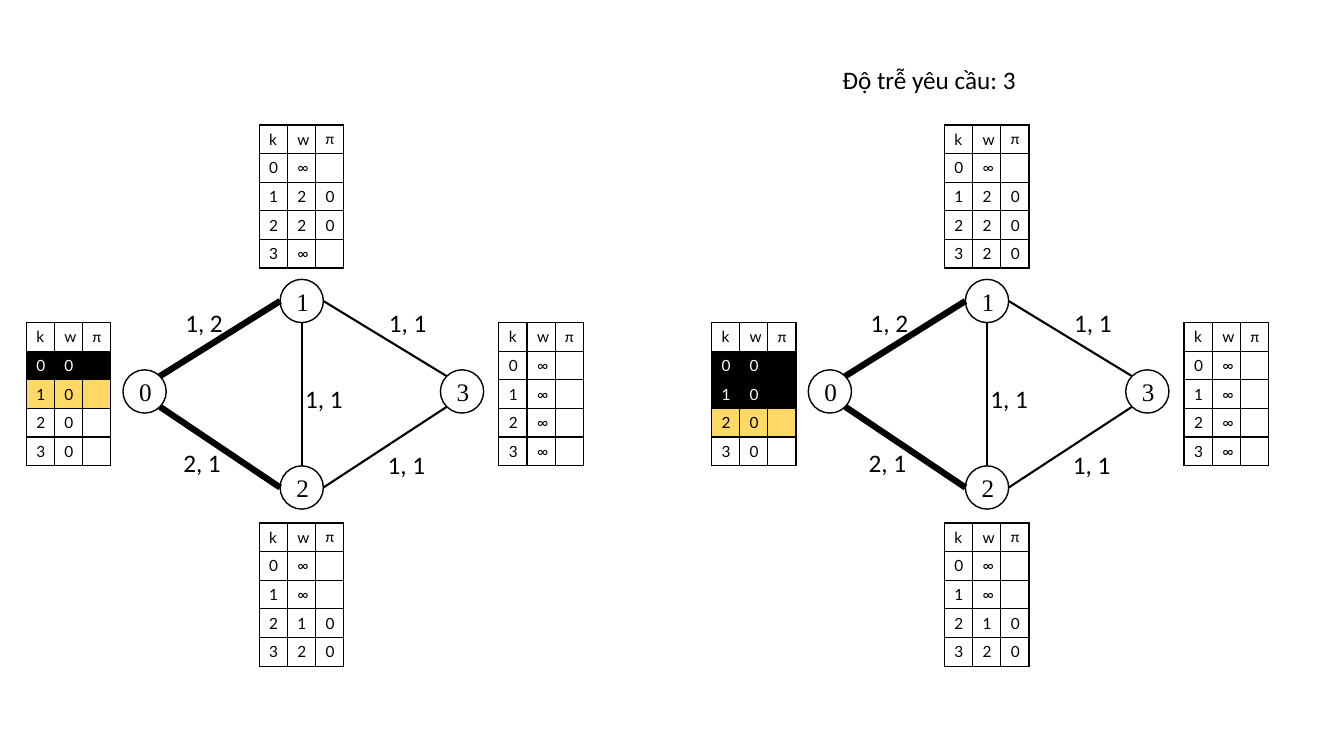
from math import cos, radians, sin

from lxml.etree import SubElement
from pptx import Presentation
from pptx.dml.color import RGBColor
from pptx.enum.shapes import MSO_CONNECTOR as Link, MSO_SHAPE as Shape
from pptx.enum.text import MSO_ANCHOR as Anchor, PP_ALIGN as Align
from pptx.oxml.ns import qn
from pptx.util import Cm, Pt

BLACK, WHITE, GOLD = "000000", "FFFFFF", "FFD966"
NODE = 1.09  # node diameter
CELL = 0.71, 0.72  # column width, row height

# Left and top of each node, within a panel
NODES = [(2.44, 6.17), (6.4, 3.89), (6.4, 8.59), (10.44, 6.17)]
# Node and angle at each end, line width, label and its place
EDGES = [
    (0, -45, 1, 180, 4.5, "1, 2", 3.76, 4.47),
    (0, 45, 2, 180, 4.5, "2, 1", 3.71, 8.0),
    (1, 0, 3, 225, 1.5, "1, 1", 8.89, 4.47),
    (2, 0, 3, 135, 1.5, "1, 1", 8.86, 8.05),
    (1, 90, 2, -90, 1.5, "1, 1", 6.78, 6.38),
]
# Left and top of the table beside each node
SPOTS = [(0, 4.98), (5.87, 0), (5.87, 10.03), (11.91, 4.98)]


def color(code):
    return RGBColor.from_string(code)


def write(frame, text, size=18, font="Calibri", ink=BLACK, align=None):
    para = frame.paragraphs[0]
    para.alignment = align
    if not text:  # an empty cell keeps the small line height
        para._p.get_or_add_endParaRPr().set("sz", str(size * 100))
        return
    run = para.add_run()
    run.text = text
    run.font.size, run.font.name, run.font.bold = Pt(size), font, False
    run.font.color.rgb = color(ink)


def add_label(slide, x, y, wide, text):
    box = slide.shapes.add_textbox(Cm(x), Cm(y), Cm(wide), Cm(1.02))
    box.text_frame.word_wrap = False
    write(box.text_frame, text)


def add_node(slide, x, y, name):
    node = slide.shapes.add_shape(Shape.OVAL, Cm(x), Cm(y), Cm(NODE), Cm(NODE))
    node.shadow.inherit = False
    node.fill.solid()
    node.fill.fore_color.rgb = color(WHITE)
    node.line.color.rgb = color(BLACK)
    node.line.width = Pt(1)
    node.text_frame.vertical_anchor = Anchor.MIDDLE
    write(node.text_frame, name, font="Times New Roman", align=Align.CENTER)


def port(x, y, node, angle):
    """Point on the rim of a node at the given angle."""
    left, top = NODES[node]
    half, turn = NODE / 2, radians(angle)
    return (Cm(x + left + half + half * cos(turn)),
            Cm(y + top + half + half * sin(turn)))


def add_edge(slide, start, end, width):
    line = slide.shapes.add_connector(Link.STRAIGHT, *start, *end)
    line.line.color.rgb = color(BLACK)
    line.line.width = Pt(width)
    SubElement(line._element.spPr, qn("a:effectLst"))


def add_border(cell):
    props = cell._tc.get_or_add_tcPr()
    for side in ("lnL", "lnR", "lnT", "lnB"):
        line = SubElement(props, qn("a:" + side), w=str(Pt(1)))
        fill = SubElement(line, qn("a:solidFill"))
        SubElement(fill, qn("a:srgbClr"), val=BLACK)


def add_grid(slide, x, y, rows, fills):
    """Table of k, w and π; fills maps a row number to its colour."""
    wide, high = CELL
    rows = ["kwπ"] + rows
    grid = slide.shapes.add_table(len(rows), 3, Cm(x), Cm(y), Cm(3 * wide),
                                  Cm(len(rows) * high)).table
    grid.first_row = grid.horz_banding = False
    for col in grid.columns:
        col.width = Cm(wide)
    for r, row in enumerate(rows):
        grid.rows[r].height = Cm(high)
        back = fills.get(r)
        for c, text in enumerate(row.ljust(3)):
            cell = grid.cell(r, c)
            add_border(cell)
            if back:
                cell.fill.solid()
                cell.fill.fore_color.rgb = color(back)
            else:
                cell.fill.background()
            write(cell.text_frame, text.strip(), size=11,
                  font="Calibri" if text == "π" else "Lato",
                  ink=WHITE if back == BLACK else BLACK)


def add_panel(slide, x, y, grids, fills):
    # Graph
    for name, (left, top) in enumerate(NODES):
        add_node(slide, x + left, y + top, str(name))
    for a, turn, b, back, width, text, left, top in EDGES:
        add_edge(slide, port(x, y, a, turn), port(x, y, b, back), width)
        add_label(slide, x + left, y + top, 1.47, text)
    # Tables; only the one at node 0 has coloured rows
    for i, (left, top) in enumerate(SPOTS):
        add_grid(slide, x + left, y + top, grids[i], fills if i == 0 else {})


def main():
    deck = Presentation()
    deck.slide_width, deck.slide_height = Cm(33.87), Cm(19.05)
    slide = deck.slides.add_slide(deck.slide_layouts[6])

    add_label(slide, 20.98, 1.5, 4.93, "Độ trễ yêu cầu: 3")

    # Rows that both steps share
    source = ["00", "10", "20", "30"]
    lower = ["0∞", "1∞", "210", "320"]
    goal = ["0∞", "1∞", "2∞", "3∞"]
    upper = ["0∞", "120", "220"]
    add_panel(slide, 0.66, 3.15, [source, upper + ["3∞"], lower, goal],
              {1: BLACK, 2: GOLD})
    add_panel(slide, 17.93, 3.15, [source, upper + ["320"], lower, goal],
              {1: BLACK, 2: BLACK, 3: GOLD})

    deck.save("out.pptx")


if __name__ == "__main__":
    main()
